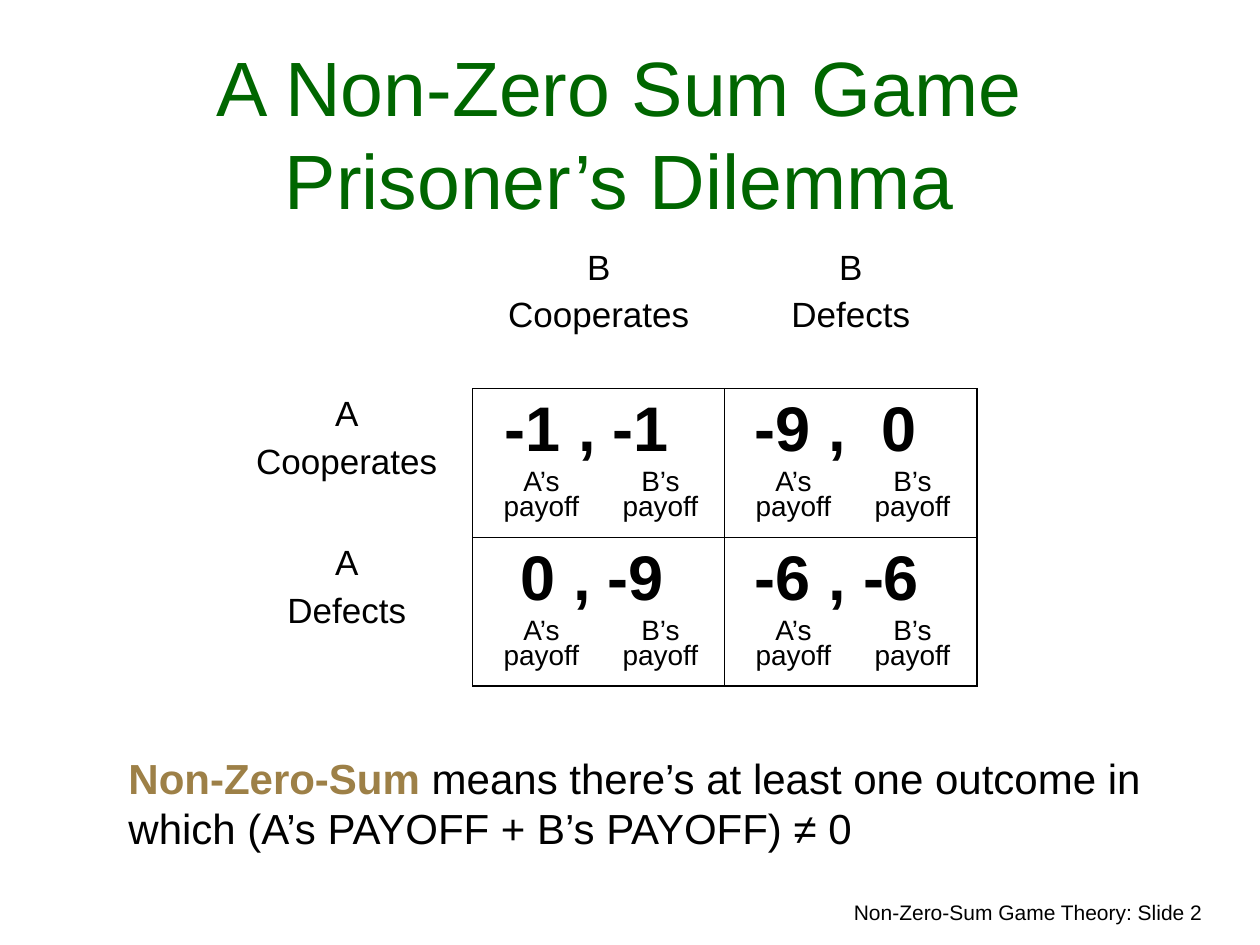
from dataclasses import dataclass

from lxml.etree import SubElement
from pptx import Presentation
from pptx.dml.color import RGBColor as RGB
from pptx.enum.text import MSO_ANCHOR as ANCHOR, PP_ALIGN as ALIGN
from pptx.oxml.ns import qn
from pptx.util import Cm, Pt


@dataclass(frozen=True)
class Theme:
    font: str = "Arial"
    ink: str = "000000"
    title: str = "006600"
    accent: str = "9D8047"
    title_size: int = 44
    score_size: int = 36
    body_size: int = 24
    label_size: int = 20
    payoff_size: int = 16
    footer_size: int = 12
    thin: float = 0.45
    thick: float = 1.08


THEME = Theme()
NO_STYLE_GRID = "{2D5ABB26-0587-4C30-8999-92F81FD0307C}"
COLUMN_LABELS = ["B\nCooperates", "B\nDefects"]
ROW_LABELS = ["A\nCooperates", "A\nDefects"]
# Each score: text with a leading tab, and its tab stops in cm
SCORES = [
    [("\t-1 , -1", [0.39]), ("\t-9 ,\t0", [0.35, 2.9])],
    [("\t0 , -9", [0.71]), ("\t-6 , -6", [0.35])],
]
PAYOFF_STOPS = [1.13, 3.53]


def add_run(p, text, size, color=THEME.ink, bold=False):
    r = p.add_run()
    r.text = text
    r.font.name = THEME.font
    r.font.size = Pt(size)
    r.font.bold = bold
    r.font.color.rgb = RGB.from_string(color)


def add_text(slide, left, top, width, height, align=ALIGN.LEFT, anchor=ANCHOR.TOP):
    """Add a wrapping text box and return its first paragraph."""
    tf = slide.shapes.add_textbox(Cm(left), Cm(top), Cm(width), Cm(height)).text_frame
    tf.word_wrap = True
    tf.vertical_anchor = anchor
    p = tf.paragraphs[0]
    p.alignment = align
    return p


def set_tabs(p, stops, align):
    tabs = SubElement(p._p.get_or_add_pPr(), qn("a:tabLst"))
    for stop in stops:
        SubElement(tabs, qn("a:tab"), pos=str(Cm(stop)), algn=align)


def set_border(cell, **widths):
    """Draw the given sides (L, R, T, B) at the given widths in points."""
    tc_pr = cell._tc.get_or_add_tcPr()
    for side in "LRTB":
        if side in widths:
            ln = SubElement(tc_pr, qn(f"a:ln{side}"), w=str(Pt(widths[side])))
            fill = SubElement(ln, qn("a:solidFill"))
            SubElement(fill, qn("a:srgbClr"), val=THEME.ink)


def fill_label(cell, text):
    tf = cell.text_frame
    for i, line in enumerate(text.split("\n")):
        p = tf.add_paragraph() if i else tf.paragraphs[0]
        p.alignment = ALIGN.CENTER
        if i:
            p.space_before = Pt(5)
        add_run(p, line, THEME.label_size)


def fill_score(cell, text, stops):
    tf = cell.text_frame
    p = tf.paragraphs[0]
    set_tabs(p, stops, "l")
    add_run(p, text, THEME.score_size, bold=True)
    for line, gap in (("\tA’s\tB’s", 3.6), ("\tpayoff\tpayoff", 0)):
        p = tf.add_paragraph()
        set_tabs(p, PAYOFF_STOPS, "ctr")
        p.line_spacing = 0.8
        p.space_before = Pt(gap)
        add_run(p, line, THEME.payoff_size)


def add_payoff_table(slide):
    frame = slide.shapes.add_table(3, 3, Cm(4.45), Cm(4.88), Cm(15.24), Cm(8.95))
    table = frame.table
    table.first_row = table.horz_banding = False
    table._tbl.tblPr.find(qn("a:tableStyleId")).text = NO_STYLE_GRID
    for row, height in zip(table.rows, (2.95, 3, 3)):
        row.height = Cm(height)

    for i in range(2):
        header, side = table.cell(0, i + 1), table.cell(i + 1, 0)
        fill_label(header, COLUMN_LABELS[i])
        set_border(header, B=THEME.thin)
        fill_label(side, ROW_LABELS[i])
        set_border(side, R=THEME.thin)
        for j, (text, stops) in enumerate(SCORES[i]):
            cell = table.cell(i + 1, j + 1)
            fill_score(cell, text, stops)
            set_border(cell, L=THEME.thin, T=THEME.thin,
                       R=THEME.thick if j else THEME.thin,
                       B=THEME.thick if i else THEME.thin)
    for cell in table.iter_cells():
        cell.fill.background()


def main():
    prs = Presentation()
    prs.slide_width, prs.slide_height = Cm(25.4), Cm(19.05)
    slide = prs.slides.add_slide(prs.slide_layouts[6])

    footer = add_text(slide, 14.53, 18.01, 9.96, 0.76, ALIGN.RIGHT)
    add_run(footer, "Non-Zero-Sum Game Theory: Slide 2", THEME.footer_size)

    title = add_text(slide, 0.64, 0.64, 23.7, 4.01, ALIGN.CENTER, ANCHOR.BOTTOM)
    add_run(title, "A Non-Zero Sum Game", THEME.title_size, THEME.title)
    title.add_line_break()
    add_run(title, "Prisoner’s Dilemma", THEME.title_size, THEME.title)

    add_payoff_table(slide)

    note = add_text(slide, 2.34, 15.04, 22.23, 2.29)
    add_run(note, "Non-Zero-Sum", THEME.body_size, THEME.accent, bold=True)
    add_run(note, " means there’s at least one outcome in which "
                  "(A’s PAYOFF + B’s PAYOFF) ≠ 0", THEME.body_size)

    prs.save("out.pptx")


if __name__ == "__main__":
    main()
